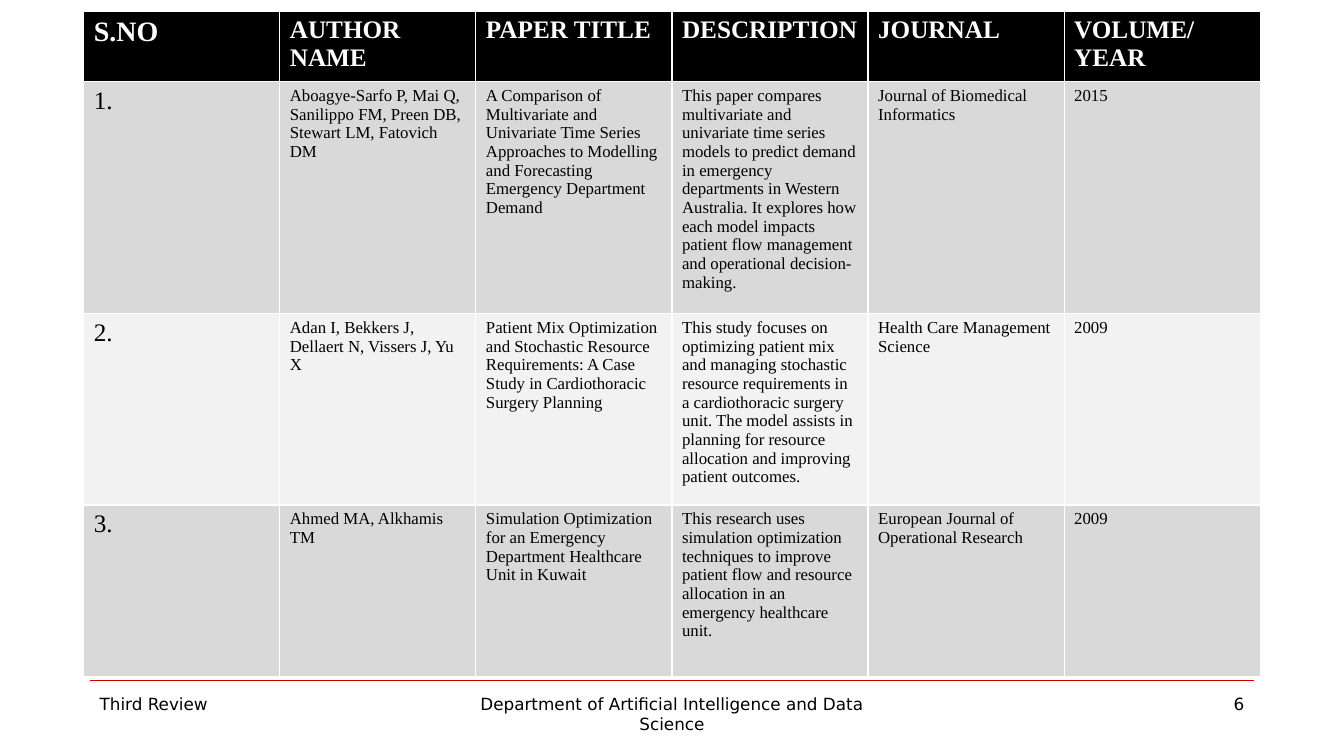
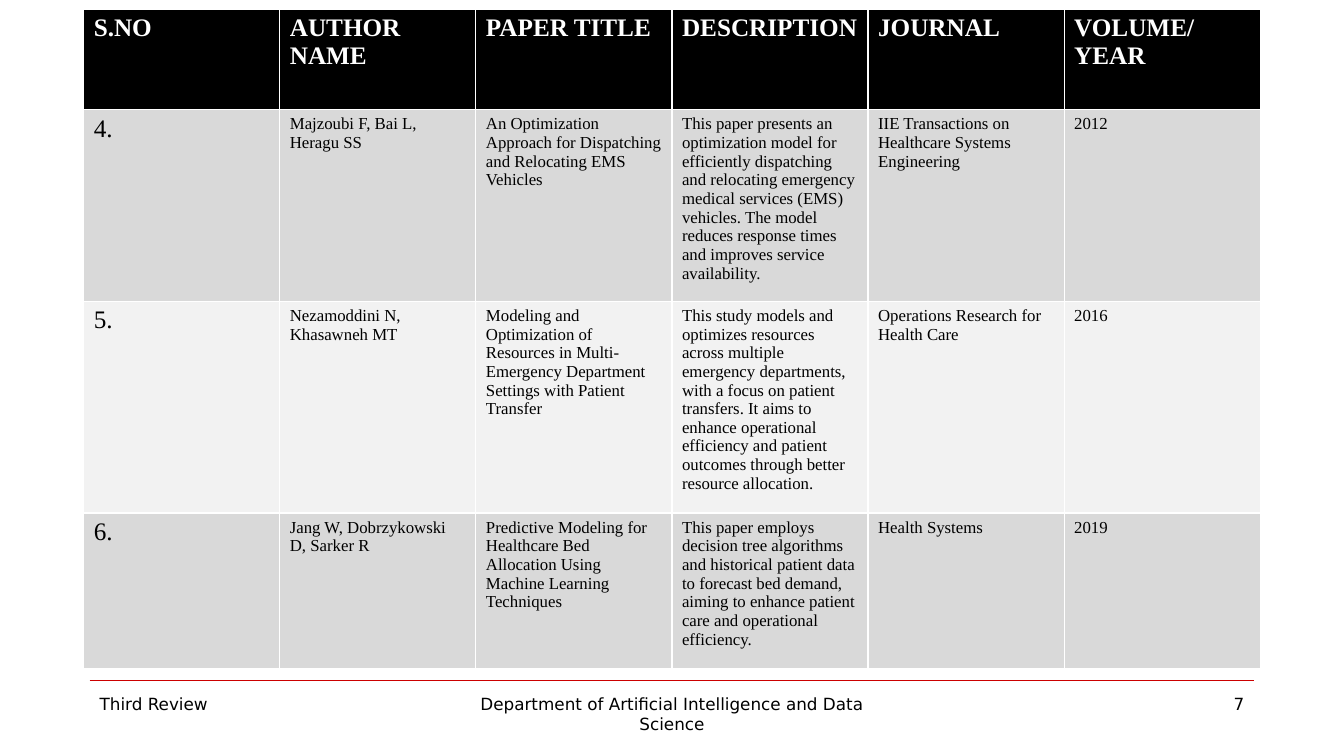
import dataclasses

import pptx
import pptx.dml.color
import pptx.enum.shapes
import pptx.enum.text
import pptx.oxml.ns
import pptx.util
from lxml import etree

Inches = pptx.util.Inches
Pt = pptx.util.Pt
Align = pptx.enum.text.PP_ALIGN


@dataclasses.dataclass(frozen=True)
class Theme:
    heading_fill: str = "000000"
    heading_text: str = "FFFFFF"
    body_text: str = "000000"
    bands: tuple = ("D9D9D9", "F2F2F2")
    rule: str = "CC0000"
    rule_width: float = 0.25
    table_font: str = "Times New Roman"
    footer_font: str = "DejaVu Sans"
    heading_size: int = 18
    number_size: int = 18
    body_size: int = 12
    footer_size: int = 12


THEME = Theme()
TABLE_LEFT, TABLE_WIDTH = 0.83, 11.67
FOOTER_BOX = (0.89, 6.75, 11.55, 0.6)
HEADINGS = ("S.NO", "AUTHOR NAME", "PAPER TITLE", "DESCRIPTION", "JOURNAL", "VOLUME/\nYEAR")

REVIEWS = [
    {
        "page": 6,
        "top": 0.11,
        "row_heights": (0.7, 2.3, 1.9, 1.7),
        "first_heading_size": 20,
        "papers": [
            ("1.", "Aboagye-Sarfo P, Mai Q, Sanilippo FM, Preen DB, Stewart LM, Fatovich DM",
             "A Comparison of Multivariate and Univariate Time Series Approaches to Modelling "
             "and Forecasting Emergency Department Demand",
             "This paper compares multivariate and univariate time series models to predict "
             "demand in emergency departments in Western Australia. It explores how each model "
             "impacts patient flow management and operational decision-making.",
             "Journal of Biomedical Informatics", "2015"),
            ("2.", "Adan I, Bekkers J, Dellaert N, Vissers J, Yu X",
             "Patient Mix Optimization and Stochastic Resource Requirements: A Case Study in "
             "Cardiothoracic Surgery Planning",
             "This study focuses on optimizing patient mix and managing stochastic resource "
             "requirements in a cardiothoracic surgery unit. The model assists in planning for "
             "resource allocation and improving patient outcomes.",
             "Health Care Management Science", "2009"),
            ("3.", "Ahmed MA, Alkhamis TM",
             "Simulation Optimization for an Emergency Department Healthcare Unit in Kuwait",
             "This research uses simulation optimization techniques to improve patient flow and "
             "resource allocation in an emergency healthcare unit.",
             "European Journal of Operational Research", "2009"),
        ],
    },
    {
        "page": 7,
        "top": 0.09,
        "row_heights": (1, 1.9, 2.1, 1.54),
        "first_heading_size": THEME.heading_size,
        "papers": [
            ("4.", "Majzoubi F, Bai L, Heragu SS",
             "An Optimization Approach for Dispatching and Relocating EMS Vehicles",
             "This paper presents an optimization model for efficiently dispatching and "
             "relocating emergency medical services (EMS) vehicles. The model reduces response "
             "times and improves service availability.",
             "IIE Transactions on Healthcare Systems Engineering", "2012"),
            ("5.", "Nezamoddini N, Khasawneh MT",
             "Modeling and Optimization of Resources in Multi-Emergency Department Settings "
             "with Patient Transfer",
             "This study models and optimizes resources across multiple emergency departments, "
             "with a focus on patient transfers. It aims to enhance operational efficiency and "
             "patient outcomes through better resource allocation.",
             "Operations Research for Health Care", "2016"),
            ("6.", "Jang W, Dobrzykowski D, Sarker R",
             "Predictive Modeling for Healthcare Bed Allocation Using Machine Learning Techniques",
             "This paper employs decision tree algorithms and historical patient data to "
             "forecast bed demand, aiming to enhance patient care and operational efficiency.",
             "Health Systems", "2019"),
        ],
    },
]


def rgb(value):
    return pptx.dml.color.RGBColor.from_string(value)


def write(frame, text, font, size, color, bold=False, align=Align.LEFT):
    frame.text = text
    for paragraph in frame.paragraphs:
        paragraph.alignment = align
        for run in paragraph.runs:
            run.font.name = font
            run.font.size = Pt(size)
            run.font.bold = bold
            run.font.color.rgb = rgb(color)


def fill_cell(cell, text, fill, size, color, bold=False):
    cell.fill.solid()
    cell.fill.fore_color.rgb = rgb(fill)
    write(cell.text_frame, text, THEME.table_font, size, color, bold)


def add_paper_table(slide, left, top, width, row_heights, papers, first_heading_size):
    papers_table = slide.shapes.add_table(
        len(row_heights), len(HEADINGS), Inches(left), Inches(top),
        Inches(width), Inches(sum(row_heights))).table
    for column in papers_table.columns:
        column.width = Inches(width / len(HEADINGS))
    for row, height in zip(papers_table.rows, row_heights):
        row.height = Inches(height)
    for index, heading in enumerate(HEADINGS):
        size = THEME.heading_size if index else first_heading_size
        fill_cell(papers_table.cell(0, index), heading, THEME.heading_fill, size,
                  THEME.heading_text, bold=True)
    for number, paper in enumerate(papers):
        band = THEME.bands[number % len(THEME.bands)]
        for index, detail in enumerate(paper):
            size = THEME.body_size if index else THEME.number_size
            fill_cell(papers_table.cell(number + 1, index), detail, band, size, THEME.body_text)


def add_footer(slide, left, top, width, height, page):
    rule = slide.shapes.add_connector(
        pptx.enum.shapes.MSO_CONNECTOR.STRAIGHT,
        Inches(left), Inches(top), Inches(left + width), Inches(top))
    rule.line.color.rgb = rgb(THEME.rule)
    rule.line.width = Pt(THEME.rule_width)
    etree.SubElement(rule.element.spPr, pptx.oxml.ns.qn("a:effectLst"))

    gap, side_width, center_width = 0.08, 2.89, 4.22
    entries = (
        ("Third Review", 0, side_width, Align.LEFT),
        ("Department of Artificial Intelligence and Data Science",
         (width - center_width) / 2, center_width, Align.CENTER),
        (str(page), width - side_width, side_width, Align.RIGHT),
    )
    for text, offset, entry_width, align in entries:
        entry = slide.shapes.add_textbox(
            Inches(left + offset), Inches(top + gap), Inches(entry_width), Inches(height - gap))
        entry.text_frame.word_wrap = True
        write(entry.text_frame, text, THEME.footer_font, THEME.footer_size,
              THEME.body_text, align=align)


def add_review_slide(deck, review):
    slide = deck.slides.add_slide(deck.slide_layouts[6])
    add_paper_table(slide, TABLE_LEFT, review["top"], TABLE_WIDTH, review["row_heights"],
                    review["papers"], review["first_heading_size"])
    add_footer(slide, *FOOTER_BOX, review["page"])


def main():
    deck = pptx.Presentation()
    deck.slide_width = Inches(13.33)
    deck.slide_height = Inches(7.5)
    for review in REVIEWS:
        add_review_slide(deck, review)
    deck.save("out.pptx")


if __name__ == "__main__":
    main()
